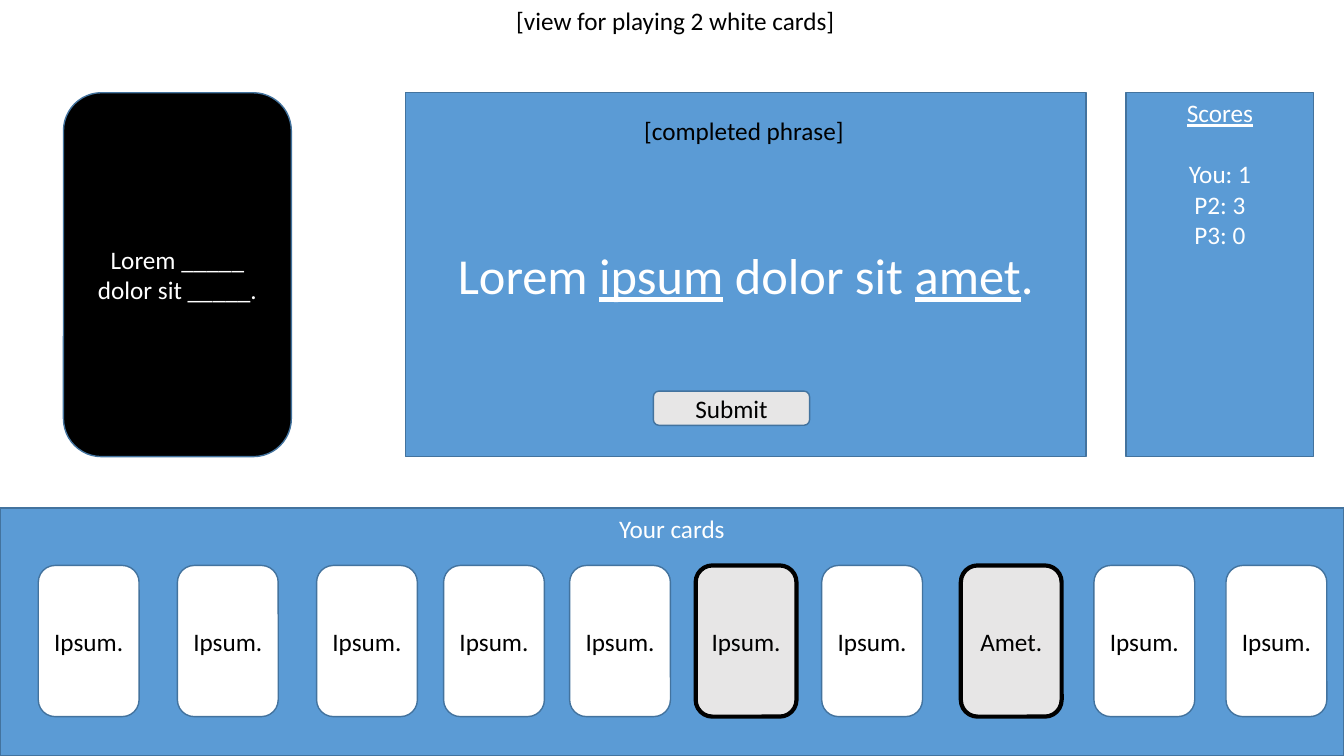
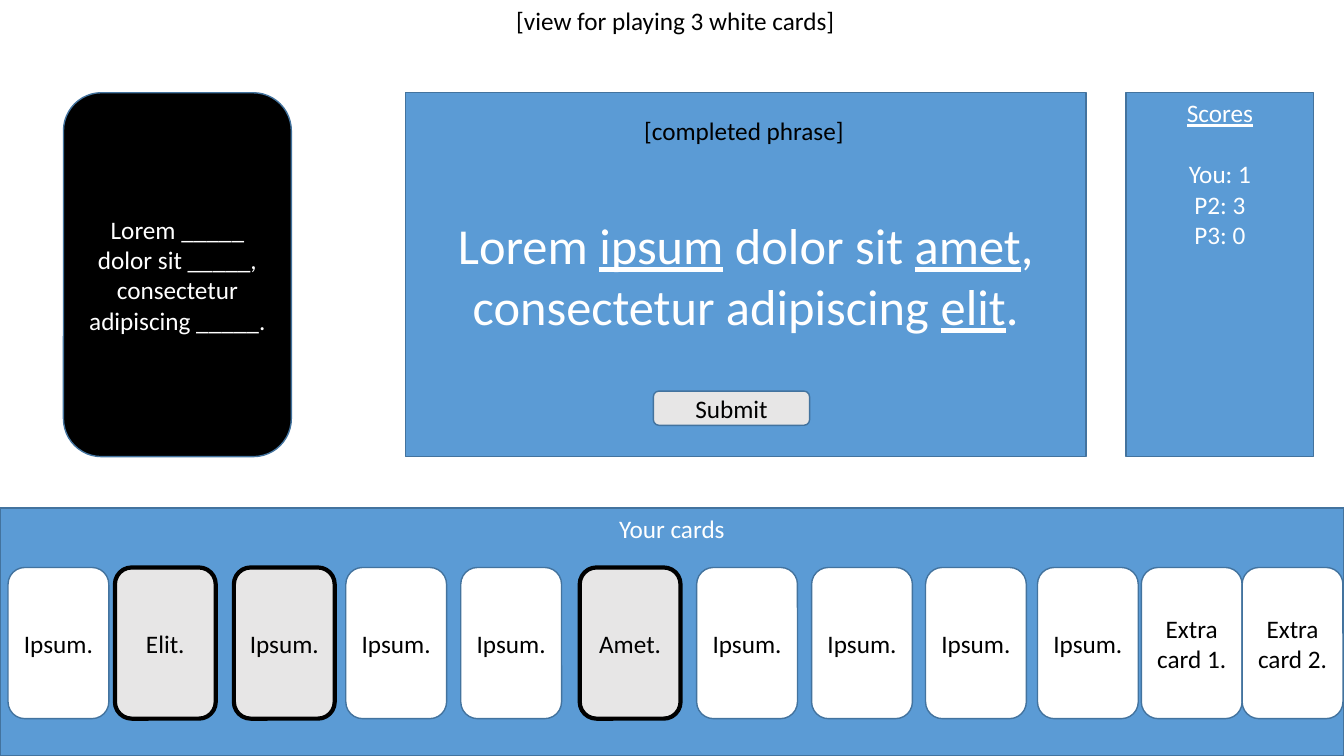
from dataclasses import dataclass

from pptx import Presentation
from pptx import util as u
from pptx.dml.color import RGBColor
from pptx.enum import shapes, text


@dataclass(frozen=True)
class Theme:
    blue: RGBColor = RGBColor(0x5B, 0x9B, 0xD5)
    outline: RGBColor = RGBColor(0x43, 0x73, 0x9E)
    grey: RGBColor = RGBColor(0xE7, 0xE6, 0xE6)
    white: RGBColor = RGBColor(0xFF, 0xFF, 0xFF)
    black: RGBColor = RGBColor(0, 0, 0)
    font: str = "Calibri"
    body: int = 18
    phrase: int = 36


T = Theme()
RECT = shapes.MSO_SHAPE.RECTANGLE
ROUND = shapes.MSO_SHAPE.ROUNDED_RECTANGLE
TOP, MIDDLE = text.MSO_ANCHOR.TOP, text.MSO_ANCHOR.MIDDLE
LEFT, CENTER = text.PP_ALIGN.LEFT, text.PP_ALIGN.CENTER
CARD_W, CARD_H = 1, 1.5


# Shared helpers; text between asterisks is underlined
def write(sp, lines, color, size=T.body, anchor=MIDDLE, align=CENTER, wrap=True):
    tf = sp.text_frame
    tf.word_wrap = wrap
    tf.auto_size = text.MSO_AUTO_SIZE.NONE
    tf.vertical_anchor = anchor
    for i, line in enumerate(lines):
        p = tf.paragraphs[0] if i == 0 else tf.add_paragraph()
        p.alignment = align
        p.font.name, p.font.size = T.font, u.Pt(size)
        p.font.color.rgb = color
        for j, part in enumerate(line.split("*")):
            if part:
                r = p.add_run()
                r.text = part
                if j % 2:
                    r.font.underline = True


def add_box(s, kind, box, fill, line=T.outline, width=1):
    sp = s.shapes.add_shape(kind, *map(u.Inches, box))
    sp.shadow.inherit = False
    sp.fill.solid()
    sp.fill.fore_color.rgb = fill
    sp.line.color.rgb = line
    sp.line.width = u.Pt(width)
    return sp


# Regions
def add_title(s, box, title):
    sp = s.shapes.title
    sp.left, sp.top, sp.width, sp.height = map(u.Inches, box)
    write(sp, [title], T.black, anchor=TOP, align=LEFT, wrap=False)


def add_black_card(s, box, prompt):
    write(add_box(s, ROUND, box, T.black), [prompt], T.white)


def add_phrase_panel(s, box, phrase):
    x, y, _, h = box
    write(add_box(s, RECT, box, T.blue), [phrase], T.white, T.phrase)
    caption = s.shapes.add_textbox(*map(u.Inches, (x + 2.27, y + 0.17, 2.21, 0.4)))
    write(caption, ["[completed phrase]"], T.black, anchor=TOP, align=LEFT, wrap=False)
    submit = add_box(s, ROUND, (x + 2.46, y + h - 0.65, 1.55, 0.34), T.grey)
    write(submit, ["Submit"], T.black)


def add_scores(s, box, scores):
    sp = add_box(s, RECT, box, T.blue)
    write(sp, ["*Scores*", *scores], T.white, anchor=TOP)
    sp.text_frame.paragraphs[0].space_after = u.Pt(22)


def add_hand(s, box, cards, drop, chosen):
    x, y, _, _ = box
    write(add_box(s, RECT, box, T.blue), ["Your cards"], T.white, anchor=TOP)
    for i, (dx, label) in enumerate(cards):
        place = (x + dx, y + drop, CARD_W, CARD_H)
        if i in chosen:
            card = add_box(s, ROUND, place, T.grey, T.black, 3)
        else:
            card = add_box(s, ROUND, place, T.white)
        write(card, [label], T.black)


def add_game_view(prs, title, prompt, phrase, cards, drop, chosen):
    s = prs.slides.add_slide(prs.slide_layouts[5])
    top, height = 0.92, 3.61
    add_hand(s, (0, 5.04, 13.33, 2.46), cards, drop, chosen)
    add_title(s, (5.02, 0, 3.4, 0.4), title)
    add_black_card(s, (0.63, top, 2.26, height), prompt)
    add_phrase_panel(s, (4.02, top, 6.75, height), phrase)
    add_scores(s, (11.17, top, 1.86, height), ["You: 1", "P2: 3", "P3: 0"])


prs = Presentation()
prs.slide_width, prs.slide_height = u.Inches(13.33), u.Inches(7.5)

# Two white cards: left edge and label of each card in the hand
two_lefts = [0.38, 1.76, 3.14, 4.4, 5.65, 6.9, 8.15, 9.53, 10.85, 12.16]
two_labels = ["Ipsum."] * 7 + ["Amet."] + ["Ipsum."] * 2
add_game_view(
    prs,
    "[view for playing 2 white cards]",
    "Lorem _____ dolor sit _____.",
    "Lorem *ipsum* dolor sit *amet*.",
    list(zip(two_lefts, two_labels)), 0.57, {5, 7},
)

# Three white cards, with two extra cards drawn
three_lefts = [0.08, 1.14, 2.32, 3.43, 4.57, 5.75, 6.91, 8.05, 9.18, 10.29, 11.32, 12.32]
three_labels = (["Ipsum.", "Elit."] + ["Ipsum."] * 3 + ["Amet."] + ["Ipsum."] * 4
                + ["Extra card 1.", "Extra card 2."])
add_game_view(
    prs,
    "[view for playing 3 white cards]",
    "Lorem _____ dolor sit _____, consectetur adipiscing _____.",
    "Lorem *ipsum* dolor sit *amet*, consectetur adipiscing *elit*.",
    list(zip(three_lefts, three_labels)), 0.59, {1, 2, 5},
)

prs.save("out.pptx")
